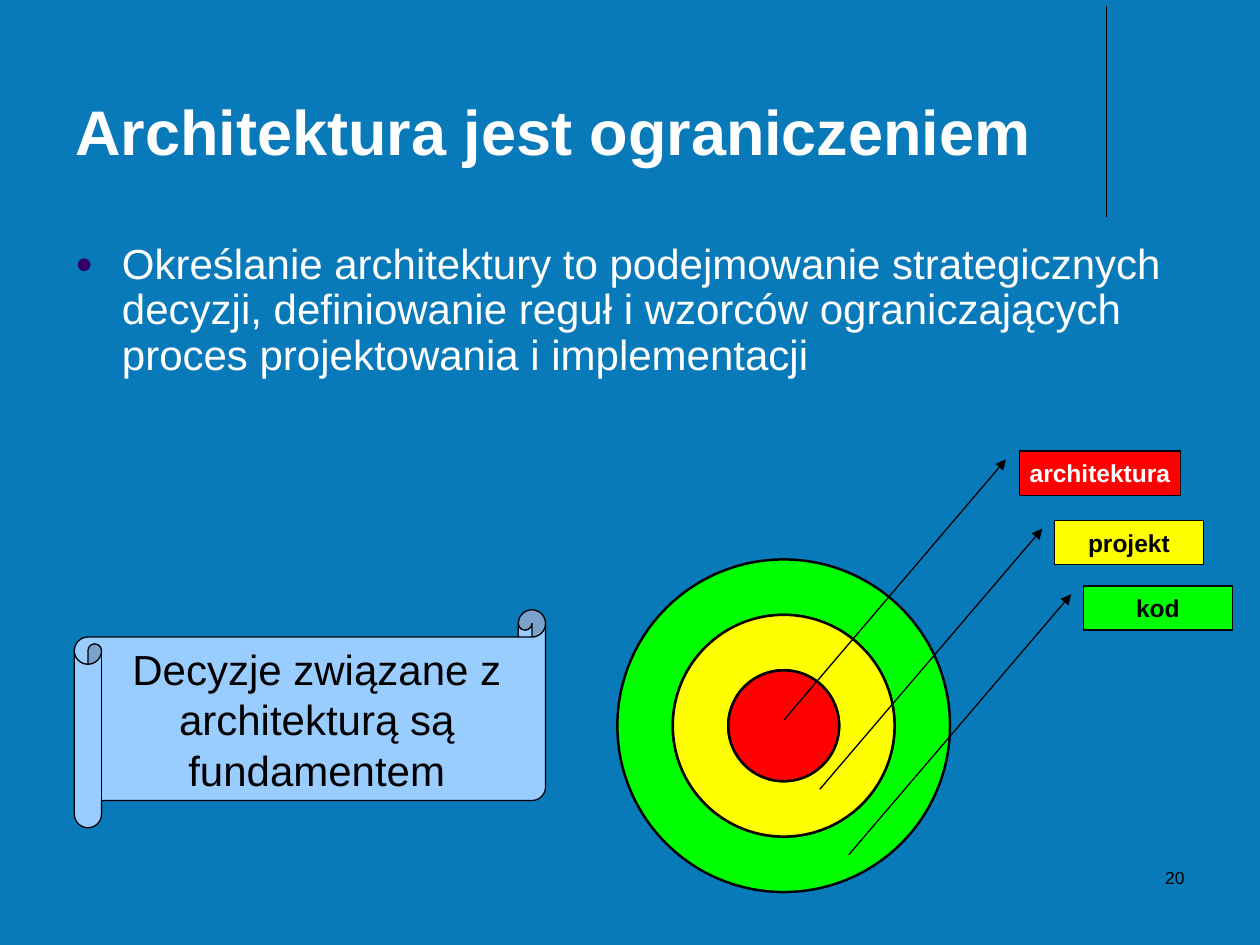
from lxml import etree
from pptx import Presentation
from pptx.dml.color import RGBColor
from pptx.enum.shapes import MSO_CONNECTOR, MSO_SHAPE
from pptx.enum.text import MSO_ANCHOR, PP_ALIGN
from pptx.oxml.ns import qn
from pptx.util import Inches, Pt

BLUE = RGBColor(0x09, 0x7A, 0xB9)
LIGHT_BLUE = RGBColor(0x99, 0xCC, 0xFF)
PURPLE = RGBColor(0x33, 0x00, 0x66)
RED = RGBColor(0xFF, 0x00, 0x00)
YELLOW = RGBColor(0xFF, 0xFF, 0x00)
GREEN = RGBColor(0x00, 0xFF, 0x00)
WHITE = RGBColor(0xFF, 0xFF, 0xFF)
BLACK = RGBColor(0x00, 0x00, 0x00)

FONT = "Arial"
STRAIGHT = MSO_CONNECTOR.STRAIGHT
DONUT, OVAL = MSO_SHAPE.DONUT, MSO_SHAPE.OVAL
CALLOUT, SCROLL = MSO_SHAPE.LINE_CALLOUT_1, MSO_SHAPE.HORIZONTAL_SCROLL
LEFT, CENTER, RIGHT = PP_ALIGN.LEFT, PP_ALIGN.CENTER, PP_ALIGN.RIGHT
TOP, MIDDLE, BOTTOM = MSO_ANCHOR.TOP, MSO_ANCHOR.MIDDLE, MSO_ANCHOR.BOTTOM


def write(sp, text, size, color, bold=False, align=LEFT, anchor=TOP, wrap=True):
    tf = sp.text_frame
    tf.word_wrap = wrap
    tf.vertical_anchor = anchor
    tf.text = text
    p = tf.paragraphs[0]
    p.alignment = align
    font = p.runs[0].font
    font.name, font.size, font.bold = FONT, Pt(size), bold
    font.color.rgb = color
    return p


def add_text(slide, box, text, size, color, **style):
    sp = slide.shapes.add_textbox(*map(Inches, box))
    return write(sp, text, size, color, **style)


def add_figure(slide, kind, box, fill, line_width, adjustments=()):
    sp = slide.shapes.add_shape(kind, *map(Inches, box))
    sp.shadow.inherit = False
    sp.fill.solid()
    sp.fill.fore_color.rgb = fill
    sp.line.color.rgb = BLACK
    sp.line.width = Pt(line_width)
    for i, value in enumerate(adjustments):
        sp.adjustments[i] = value
    return sp


def add_callout(slide, box, text, fill, color, tail):
    # The pointer runs from beside the label to a point inside its ring
    sp = add_figure(slide, CALLOUT, box, fill, 0, (0.188, -0.083, *tail))
    etree.SubElement(sp.line._get_or_add_ln(), qn("a:headEnd"), type="triangle")
    write(sp, text, 14, color, bold=True, align=CENTER, anchor=MIDDLE, wrap=False)


def add_divider(slide, x, top, bottom):
    line = slide.shapes.add_connector(
        STRAIGHT, Inches(x), Inches(top), Inches(x), Inches(bottom))
    line.line.color.rgb = BLACK
    line.line.width = Pt(0.75)
    etree.SubElement(line._element.spPr, qn("a:effectLst"))


def add_bullet(p, indent):
    pPr = p._p.get_or_add_pPr()
    pPr.set("marL", str(Inches(indent)))
    pPr.set("indent", str(-Inches(indent)))
    color = etree.SubElement(pPr, qn("a:buClr"))
    etree.SubElement(color, qn("a:srgbClr"), val=str(PURPLE))
    etree.SubElement(pPr, qn("a:buSzPct"), val="70000")
    etree.SubElement(pPr, qn("a:buFont"), typeface=FONT)
    etree.SubElement(pPr, qn("a:buChar"), char="●")


def add_rings(slide, center_x, center_y, band, fills):
    # Outermost first; every ring is one band thick and the core is a disc
    for i, fill in enumerate(fills):
        size = 2 * band * (len(fills) - i)
        box = (center_x - size / 2, center_y - size / 2, size, size)
        if i < len(fills) - 1:
            add_figure(slide, DONUT, box, fill, 1.42, [band / size])
        else:
            add_figure(slide, OVAL, box, fill, 1.42)


def main():
    prs = Presentation()
    prs.slide_width, prs.slide_height = Inches(10), Inches(7.5)
    slide = prs.slides.add_slide(prs.slide_layouts[6])
    slide.background.fill.solid()
    slide.background.fill.fore_color.rgb = BLUE
    add_divider(slide, 8.78, 0.05, 1.72)

    # Target diagram
    add_rings(slide, 6.22, 5.76, 0.44, [GREEN, YELLOW, RED])

    # Title and body
    add_text(slide, (0.5, 0.13, 8.25, 1.25), "Architektura jest ograniczeniem",
             36, WHITE, bold=True, anchor=BOTTOM)
    p = add_text(slide, (0.5, 1.88, 9, 1.71),
                 "Określanie architektury to podejmowanie strategicznych decyzji, "
                 "definiowanie reguł i wzorców ograniczających proces "
                 "projektowania i implementacji", 24, WHITE)
    p.line_spacing = 0.9
    add_bullet(p, 0.37)

    # Ring labels
    add_callout(slide, (8.09, 3.58, 1.28, 0.35), "architektura", RED, WHITE, (6.1, -1.46))
    add_callout(slide, (8.37, 4.13, 1.18, 0.35), "projekt", YELLOW, BLACK, (6.1, -1.58))
    add_callout(slide, (8.6, 4.65, 1.18, 0.35), "kod", GREEN, BLACK, (6.1, -1.58))

    # Scroll with the conclusion
    scroll = add_figure(slide, SCROLL, (0.59, 4.84, 3.74, 1.73), LIGHT_BLUE, 0, [0.125])
    write(scroll, "Decyzje związane z architekturą są fundamentem", 24, BLACK,
          align=CENTER, anchor=MIDDLE)

    # Page number
    add_text(slide, (7.17, 6.83, 2.33, 0.5), "20", 10, BLACK, align=RIGHT)

    prs.save("out.pptx")


if __name__ == "__main__":
    main()
